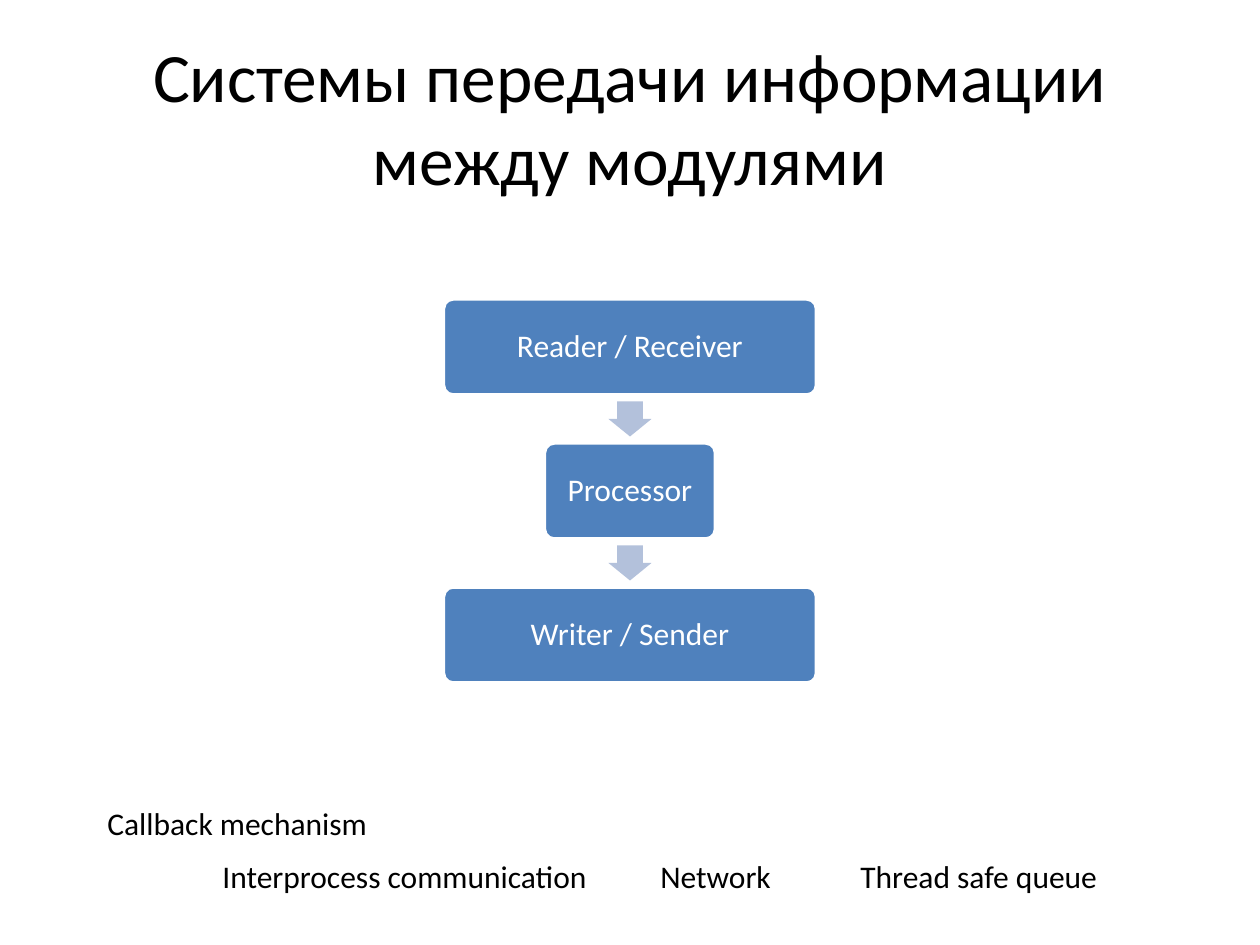
from pptx import Presentation
from pptx.dml.color import RGBColor
from pptx.enum.shapes import MSO_SHAPE as Kind
from pptx.enum.text import MSO_ANCHOR as Anchor, MSO_AUTO_SIZE as Fit, PP_ALIGN as Align
from pptx.util import Emu, Pt

# Content
TITLE = "Системы передачи информации между модулями"
STEPS = [("Reader / Receiver", 373), ("Processor", 171), ("Writer / Sender", 373)]
NOTES = [  # text, left, top, width
    ("Thread safe queue", 848, 851, 266),
    ("Callback mechanism", 95, 798, 289),
    ("Interprocess communication", 210, 851, 394),
    ("Network", 648, 851, 137),
]

# Layout in pixels and look
WIDE, HIGH = 1260, 945
MID, TOP, BOX, PITCH = WIDE // 2, 299, 96, 144
ARROW = (35, 43)
BLUE, PALE, WHITE, BLACK = "4F81BD", "B3C1DB", "FFFFFF", "000000"


def px(n):
    return Emu(round(n * 914400 / 126))


def paint(fmt, color):
    fmt.solid()
    fmt.fore_color.rgb = RGBColor.from_string(color)


def write(shape, text, size, color, para=(), **frame):
    body = shape.text_frame
    body.text = text
    par = body.paragraphs[0]
    font = {"name": "Calibri", "size": Pt(size)}
    for item, vals in ((body, frame), (par, dict(para)), (par.runs[0].font, font)):
        for key, val in vals.items():
            setattr(item, key, val)
    paint(par.runs[0].font.fill, color)


def add(kind, mid_y, w, h, fill, adj):
    """Add a filled shape centred on the flow axis."""
    shape = flow.shapes.add_shape(kind, px(MID - w / 2), px(mid_y - h / 2), px(w), px(h))
    shape.shadow.inherit = False
    paint(shape.fill, fill)
    for i, val in enumerate(adj):
        shape.adjustments[i] = val
    return shape


deck = Presentation()
deck.slide_width, deck.slide_height = px(WIDE), px(HIGH)
slide = deck.slides.add_slide(deck.slide_layouts[5])

# Title
title = slide.shapes.title
title.left, title.top, title.width, title.height = map(px, (63, 38, 1134, 157))
write(title, TITLE, 39.6, BLACK, {"alignment": Align.CENTER},
      word_wrap=True, auto_size=Fit.NONE, vertical_anchor=Anchor.MIDDLE)

# Flow of steps, with an arrow in each gap
flow = slide.shapes.add_group_shape()
inset = {f"margin_{side}": px(9) for side in ("left", "right", "top", "bottom")}
for i, (text, width) in enumerate(STEPS):
    mid = TOP + BOX / 2 + i * PITCH
    if i:
        arrow = add(Kind.RIGHT_ARROW, mid - PITCH / 2, *ARROW, PALE, (0.6, 0.5))
        arrow.rotation = 90
        arrow.line.fill.background()
    box = add(Kind.ROUNDED_RECTANGLE, mid, width, BOX, BLUE, (0.1,))
    paint(box.line.fill, WHITE)
    box.line.width = Pt(2)
    write(box, text, 18, WHITE, {"alignment": Align.CENTER, "line_spacing": 0.9},
          word_wrap=True, vertical_anchor=Anchor.MIDDLE, **inset)

# Ways of passing data
for text, left, top, width in NOTES:
    note = slide.shapes.add_textbox(px(left), px(top), px(width), px(50))
    write(note, text, 18, BLACK, word_wrap=False, auto_size=Fit.SHAPE_TO_FIT_TEXT)

deck.save("out.pptx")
